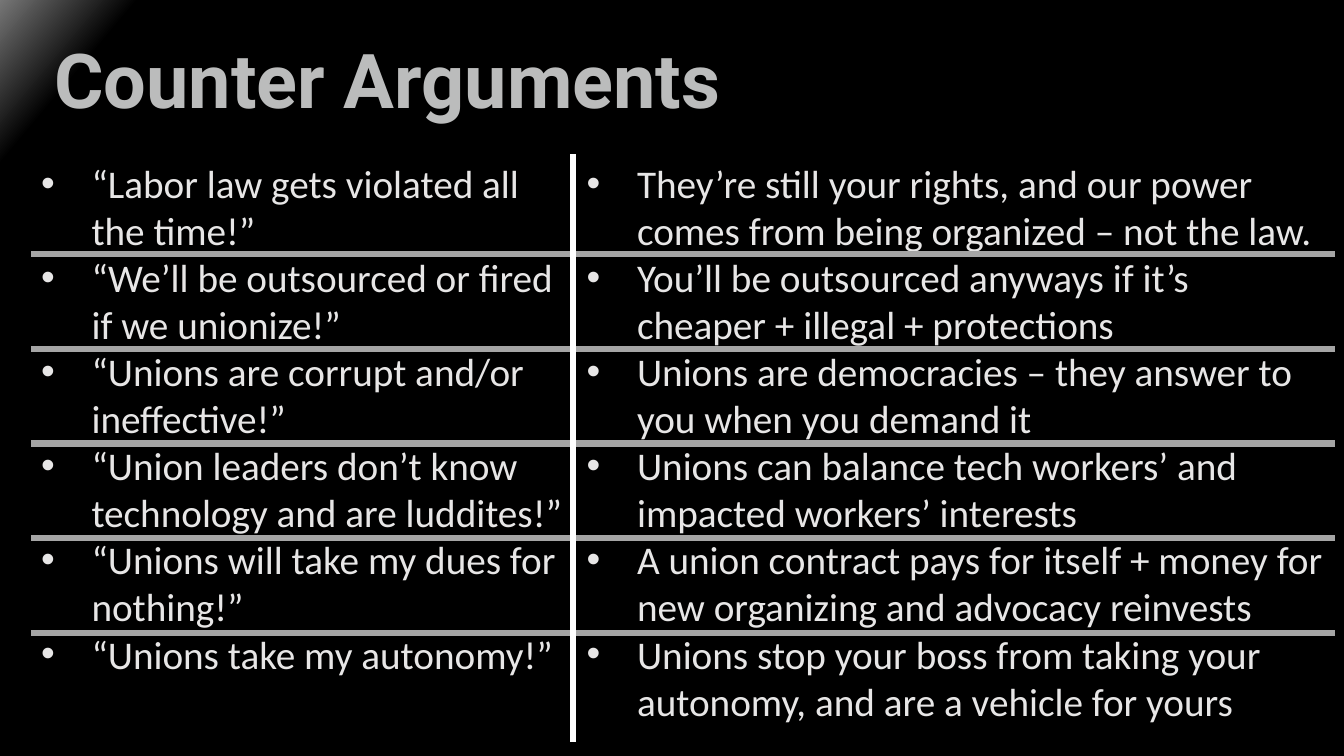
"""Build the Counter Arguments slide: objections on the left, answers on the right."""
from dataclasses import dataclass

from lxml import etree
from pptx import Presentation
from pptx.dml.color import RGBColor
from pptx.enum.shapes import MSO_CONNECTOR
from pptx.enum.text import MSO_ANCHOR
from pptx.oxml.ns import qn
from pptx.slide import Slide
from pptx.text.text import TextFrame
from pptx.util import Inches, Pt

STRAIGHT = MSO_CONNECTOR.STRAIGHT
MIDDLE = MSO_ANCHOR.MIDDLE
TOP = MSO_ANCHOR.TOP

COLUMN_TOP = 1.53
FIRST_RULE = 2.52
ROW_PITCH = 0.94
ROW_LEFT, ROW_RIGHT = 0.31, 13.24
DIVIDER_X, DIVIDER_BOTTOM = 5.68, 7.36

ARGUMENTS = [
    ("“Labor law gets violated all the time!”",
     "They’re still your rights, and our power comes from being organized – not the law."),
    ("“We’ll be outsourced or fired if we unionize!”",
     "You’ll be outsourced anyways if it’s cheaper + illegal + protections"),
    ("“Unions are corrupt and/or ineffective!”",
     "Unions are democracies – they answer to you when you demand it"),
    ("“Union leaders don’t know technology and are luddites!”",
     "Unions can balance tech workers’ and impacted workers’ interests"),
    ("“Unions will take my dues for nothing!”",
     "A union contract pays for itself + money for new organizing and advocacy reinvests"),
    ("“Unions take my autonomy!”",
     "Unions stop your boss from taking your autonomy, and are a vehicle for yours"),
]


@dataclass(frozen=True)
class TextBlock:
    left: float
    top: float
    width: float
    height: float
    lines: tuple[str, ...]
    font: str
    size: float
    color: str
    bold: bool = False
    bulleted: bool = True


@dataclass(frozen=True)
class Rule:
    start: tuple[float, float]
    end: tuple[float, float]
    color: str


def rgb(value: str) -> RGBColor:
    return RGBColor.from_string(value)


def paint_background(slide: Slide) -> None:
    fill = slide.background.fill
    fill.gradient()
    fill.gradient_angle = 140
    for stop, (position, color) in zip(fill.gradient_stops, [(0.93, "000000"), (1, "767676")]):
        stop.position = position
        stop.color.rgb = rgb(color)


def add_bullets(frame: TextFrame) -> None:
    for paragraph in frame.paragraphs:
        properties = paragraph._p.get_or_add_pPr()
        properties.set("marL", str(Inches(0.5)))
        properties.set("indent", str(Inches(-0.5)))
        etree.SubElement(properties, qn("a:buFont")).set("typeface", "Arial")
        etree.SubElement(properties, qn("a:buChar")).set("char", "•")


def draw_text(slide: Slide, block: TextBlock) -> None:
    frame = slide.shapes.add_textbox(
        Inches(block.left), Inches(block.top), Inches(block.width), Inches(block.height)
    ).text_frame
    frame.word_wrap = True
    frame.vertical_anchor = TOP if block.bulleted else MIDDLE
    frame.text = "\n".join(block.lines)
    if block.bulleted:
        add_bullets(frame)
    for paragraph in frame.paragraphs:
        for run in paragraph.runs:
            run.font.name = block.font
            run.font.size = Pt(block.size)
            run.font.bold = block.bold
            run.font.color.rgb = rgb(block.color)


def draw_rule(slide: Slide, rule: Rule) -> None:
    connector = slide.shapes.add_connector(
        STRAIGHT, *(Inches(value) for value in rule.start + rule.end)
    )
    connector.line.color.rgb = rgb(rule.color)
    connector.line.width = Pt(4.5)
    etree.SubElement(connector._element.spPr, qn("a:effectLst"))


def main() -> None:
    deck = Presentation()
    deck.slide_width, deck.slide_height = Inches(13.33), Inches(7.5)
    slide = deck.slides.add_slide(deck.slide_layouts[6])
    paint_background(slide)

    objections, answers = zip(*ARGUMENTS)
    blocks = [
        TextBlock(0.44, 0.18, 9.73, 1.19, ("Counter Arguments",),
                  "Roboto", 54, "BBBCBC", bold=True, bulleted=False),
        TextBlock(0.31, COLUMN_TOP, 5.54, 6.23, objections, "Calibri", 28, "E7E6E6"),
        TextBlock(5.72, COLUMN_TOP, 7.51, 6.7, answers, "Calibri", 28, "E7E6E6"),
    ]
    for block in blocks:
        draw_text(slide, block)

    row_heights = [FIRST_RULE + ROW_PITCH * row for row in range(len(ARGUMENTS) - 1)]
    rules = [Rule((ROW_RIGHT, y), (ROW_LEFT, y), "A5A5A5") for y in row_heights]
    rules.append(Rule((DIVIDER_X, COLUMN_TOP), (DIVIDER_X, DIVIDER_BOTTOM), "FFFFFF"))
    for rule in rules:
        draw_rule(slide, rule)

    deck.save("out.pptx")


if __name__ == "__main__":
    main()
